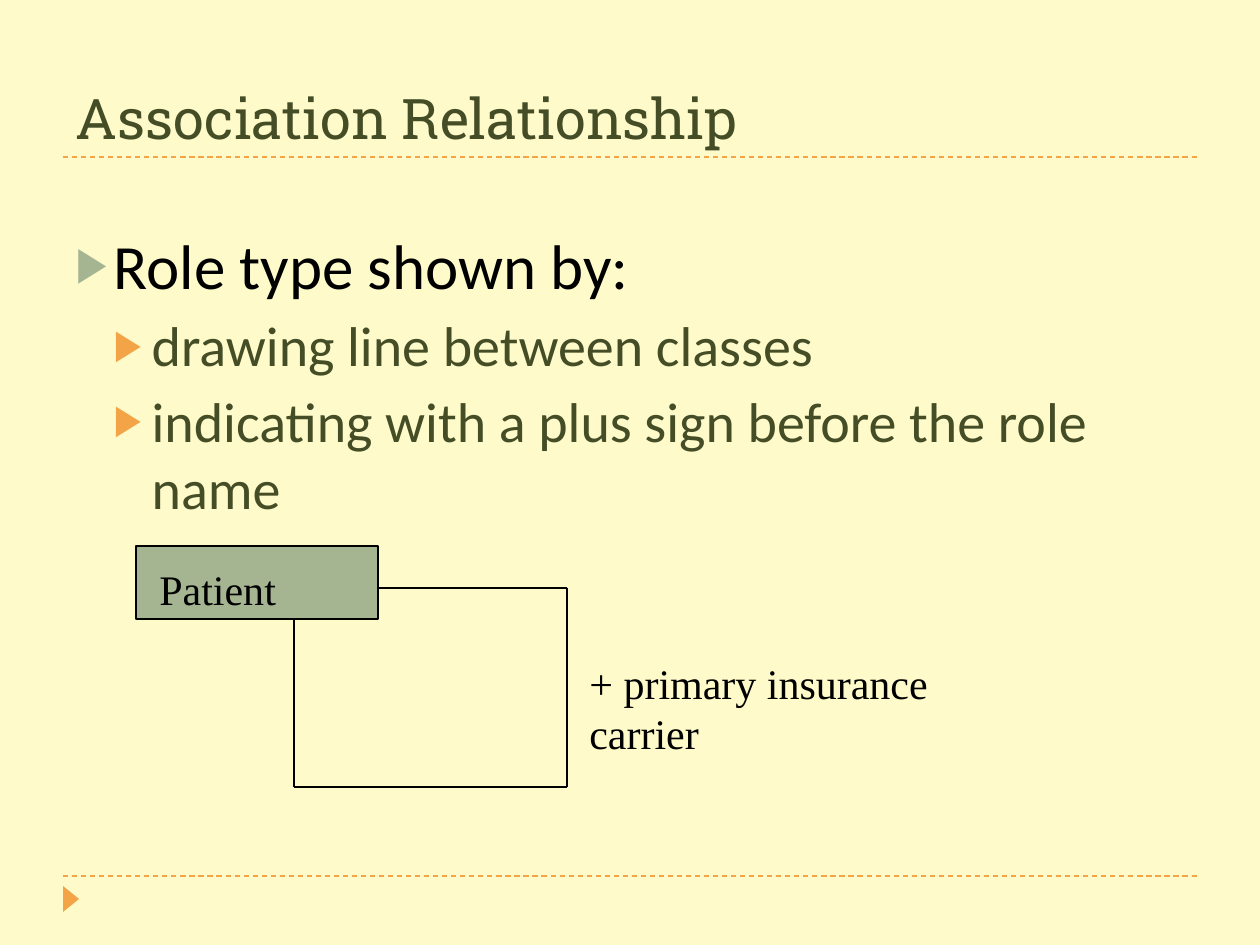
from itertools import pairwise

from lxml.etree import SubElement
from pptx import Presentation
from pptx.dml.color import RGBColor
from pptx.enum.dml import MSO_LINE
from pptx.enum.shapes import MSO_CONNECTOR, MSO_SHAPE
from pptx.enum.text import MSO_ANCHOR, MSO_AUTO_SIZE, PP_ALIGN
from pptx.oxml.ns import qn
from pptx.util import Pt

CREAM = RGBColor(0xFE, 0xFA, 0xC9)
ORANGE = RGBColor(0xF3, 0xA4, 0x47)
OLIVE = RGBColor(0x44, 0x4D, 0x26)
SAGE = RGBColor(0xA5, 0xB5, 0x92)
BLACK = RGBColor(0, 0, 0)
EMU_PER_PX = 914400 / 126


def px(n):
    return round(n * EMU_PER_PX)


def write(p, text, *, font, size, color):
    r = p.add_run()
    r.text = text
    r.font.name = font
    r.font.size = Pt(size)
    r.font.color.rgb = color
    return r


class Deck:
    heading = "Roboto Slab"
    body = "Calibri"
    label = "Times New Roman"

    def __init__(self, width, height):
        self.prs = Presentation()
        self.prs.slide_width = px(width)
        self.prs.slide_height = px(height)

    def slide(self):
        self.s = self.prs.slides.add_slide(self.prs.slide_layouts[1])
        self.s.background.fill.solid()
        self.s.background.fill.fore_color.rgb = CREAM

    def place(self, sp, x, y, w, h):
        sp.left, sp.top, sp.width, sp.height = map(px, (x, y, w, h))
        tf = sp.text_frame
        tf.word_wrap = True
        tf.auto_size = MSO_AUTO_SIZE.NONE
        return tf

    def title(self, text, *box):
        tf = self.place(self.s.shapes.title, *box)
        tf.vertical_anchor = MSO_ANCHOR.BOTTOM
        p = tf.paragraphs[0]
        p.alignment = PP_ALIGN.LEFT
        write(p, text, font=self.heading, size=32, color=OLIVE)

    def bullets(self, items, *box):
        tf = self.place(self.s.placeholders[1], *box)
        tf.vertical_anchor = MSO_ANCHOR.TOP
        styles = [(36, BLACK, SAGE), (32, OLIVE, ORANGE)]
        for i, (level, text) in enumerate(items):
            p = tf.add_paragraph() if i else tf.paragraphs[0]
            size, color, mark = styles[level]
            p.level = level
            p.space_before = Pt(5 if i else 0)
            pPr = p._p.get_or_add_pPr()
            pPr.set("marL", str(px(38 * (level + 1))))
            pPr.set("indent", str(px(-38)))
            clr = SubElement(pPr, qn("a:buClr"))
            SubElement(clr, qn("a:srgbClr"), val=str(mark))
            SubElement(pPr, qn("a:buSzPct"), val="76000")
            SubElement(pPr, qn("a:buChar"), char="▶")
            write(p, text, font=self.body, size=size, color=color)

    def shape(self, kind, x, y, w, h, *, fill, line=None, rotation=0):
        sp = self.s.shapes.add_shape(kind, *map(px, (x, y, w, h)))
        sp.shadow.inherit = False
        sp.rotation = rotation
        sp.fill.solid()
        sp.fill.fore_color.rgb = fill
        if line is None:
            sp.line.fill.background()
        else:
            sp.line.color.rgb = line
            sp.line.width = Pt(0.75)

    def line(self, start, end, *, color, dash=None):
        cn = self.s.shapes.add_connector(
            MSO_CONNECTOR.STRAIGHT, *map(px, (*start, *end)))
        SubElement(cn._element.spPr, qn("a:effectLst"))
        cn.line.color.rgb = color
        cn.line.width = Pt(0.75)
        if dash:
            cn.line.dash_style = dash

    def text(self, text, *box):
        sp = self.s.shapes.add_textbox(*map(px, box))
        tf = self.place(sp, *box)
        tf.auto_size = MSO_AUTO_SIZE.SHAPE_TO_FIT_TEXT
        write(tf.paragraphs[0], text, font=self.label, size=24, color=BLACK)


def main():
    deck = Deck(1260, 945)
    deck.slide()
    for y in (876, 157):
        deck.line((63, y), (1197, y), color=ORANGE, dash=MSO_LINE.DASH)
    deck.shape(MSO_SHAPE.ISOSCELES_TRIANGLE, 58, 891, 26, 16,
               fill=ORANGE, rotation=90)
    deck.title("Association Relationship", 63, 21, 1134, 136)
    deck.bullets([
        (0, "Role type shown by:"),
        (1, "drawing line between classes"),
        (1, "indicating with a plus sign before the role name"),
    ], 63, 220, 1134, 672)
    deck.shape(MSO_SHAPE.RECTANGLE, 136, 546, 242, 73, fill=SAGE, line=BLACK)
    deck.text("Patient", 147, 557, 210, 50)
    loop = [(378, 588), (567, 588), (567, 787), (294, 787), (294, 619)]
    for start, end in pairwise(loop):
        deck.line(start, end, color=BLACK)
    deck.text("+ primary insurance carrier", 577, 651, 431, 50)
    deck.prs.save("out.pptx")


if __name__ == "__main__":
    main()
